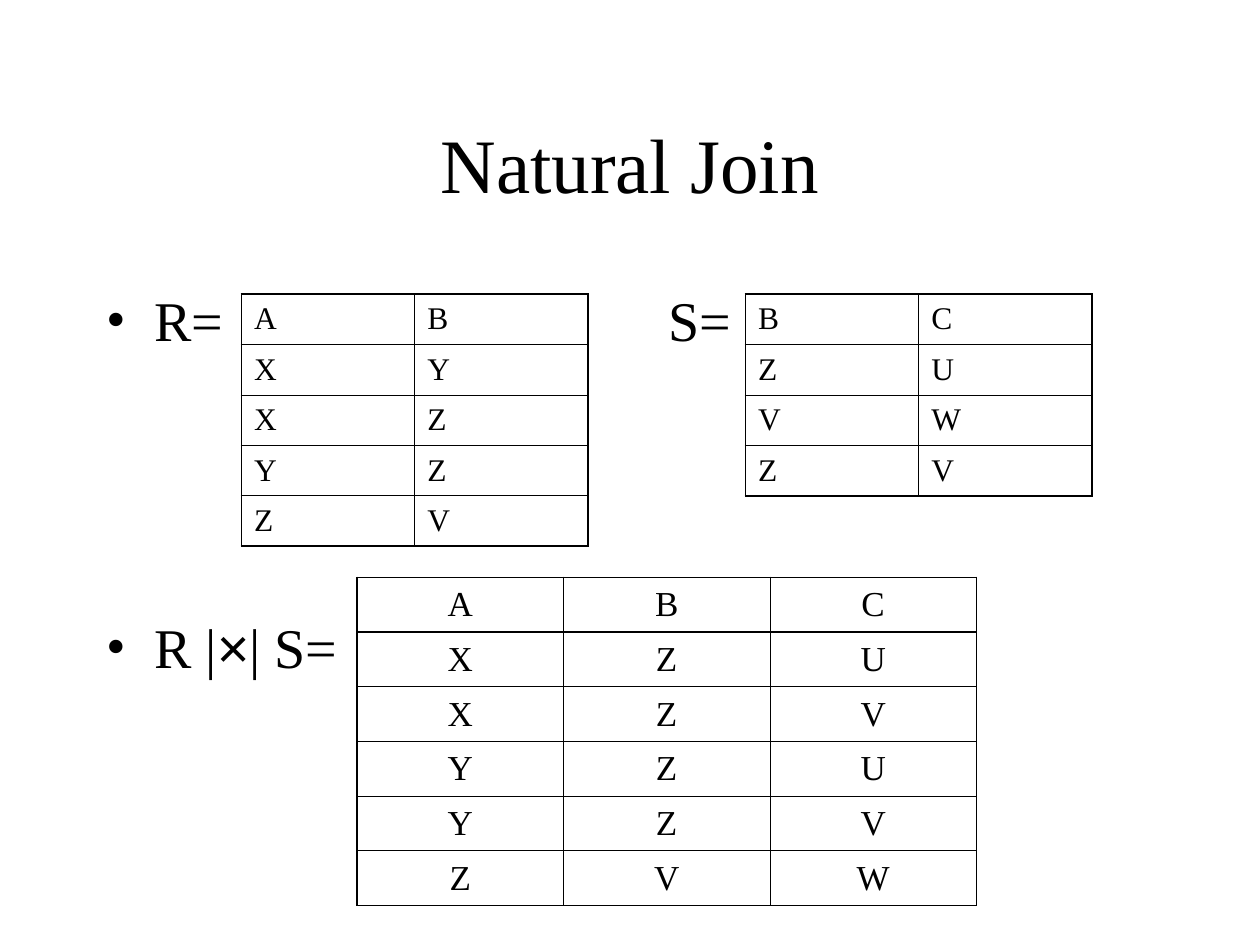
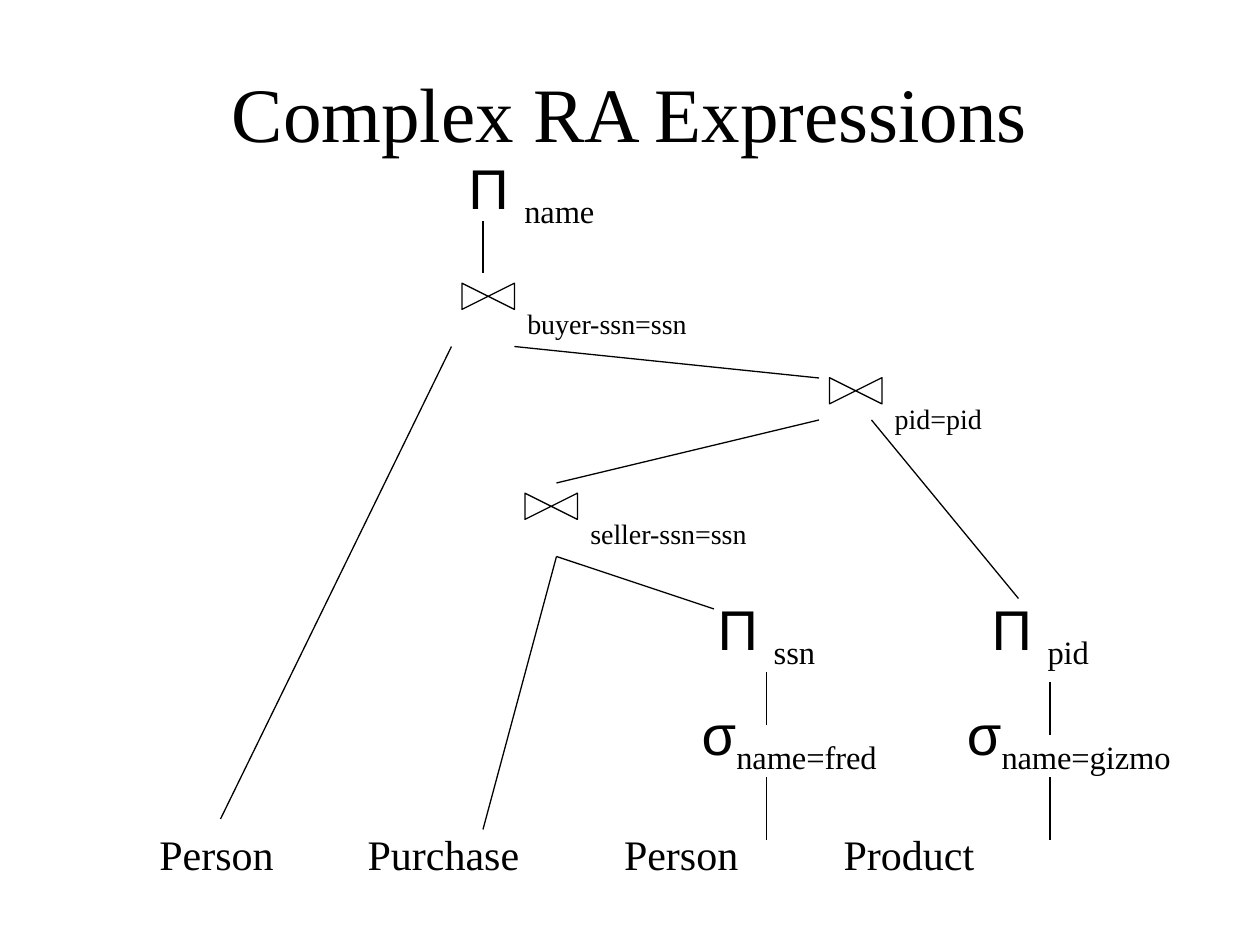
from lxml import etree
from pptx import Presentation
from pptx.dml.color import RGBColor
from pptx.enum import shapes, text
from pptx.oxml import ns
from pptx.util import Pt

rgb = RGBColor.from_string
INK = "000000"
SERIF = "Times New Roman"
SANS = "Arial"
LEFT, CENTER = text.PP_ALIGN.LEFT, text.PP_ALIGN.CENTER
TOP, MIDDLE = text.MSO_ANCHOR.TOP, text.MSO_ANCHOR.MIDDLE


def style_run(run, size, font=SERIF, subscript=False):
    run.font.size = Pt(size)
    run.font.name = font
    run.font.color.rgb = rgb(INK)
    if subscript:
        run._r.get_or_add_rPr().set("baseline", "-25000")


def add_text(slide, box, paragraphs, size, align=LEFT, anchor=TOP, wrap=True):
    frame = slide.shapes.add_textbox(*map(Pt, box)).text_frame
    frame.word_wrap = wrap
    frame.vertical_anchor = anchor
    if not wrap:
        frame.auto_size = text.MSO_AUTO_SIZE.SHAPE_TO_FIT_TEXT
    for index, parts in enumerate(paragraphs):
        paragraph = frame.add_paragraph() if index else frame.paragraphs[0]
        paragraph.alignment = align
        for wording, *look in parts:
            run = paragraph.add_run()
            run.text = wording
            style_run(run, size, *look)
    return frame


prs = Presentation()
prs.slide_width, prs.slide_height = Pt(720), Pt(540)
join_slide, tree_slide = [prs.slides.add_slide(prs.slide_layouts[6]) for _ in range(2)]

for slide, title, top in [
    (join_slide, "Natural Join", 48),
    (tree_slide, "Complex RA Expressions", 19),
]:
    add_text(slide, (54, top, 612, 90), [[(title,)]], 44, CENTER, MIDDLE)

relations = add_text(
    join_slide, (54, 156, 612, 324),
    [[("R=",)], [("R |",), ("×", SANS), ("| S=",)]], 32,
)
relations.margin_top = Pt(7.2)
relations.paragraphs[1].space_before = Pt(148.5)
for paragraph in relations.paragraphs:
    properties = paragraph._p.get_or_add_pPr()
    properties.set("marL", str(Pt(27)))
    properties.set("indent", str(Pt(-27)))
    etree.SubElement(properties, ns.qn("a:buFont"), typeface=SERIF)
    etree.SubElement(properties, ns.qn("a:buChar"), char="•")
add_text(join_slide, (375, 159.6, 52, 44), [[("S=",)]], 32)

for left, top, column_width, row_height, size, align, rows in [
    (138, 168, 99, 28.8, 18, LEFT, ["AB", "XY", "XZ", "YZ", "ZV"]),
    (426, 168, 99, 28.8, 18, LEFT, ["BC", "ZU", "VW", "ZV"]),
    (204, 330, 118, 31.2, 20, CENTER, ["ABC", "XZU", "XZV", "YZU", "YZV", "ZVW"]),
]:
    row_count, column_count = len(rows), len(rows[0])
    relation = join_slide.shapes.add_table(
        row_count, column_count, Pt(left), Pt(top),
        Pt(column_width * column_count), Pt(row_height * row_count),
    ).table
    relation.first_row = relation.horz_banding = False
    for column in relation.columns:
        column.width = Pt(column_width)
    for r, values in enumerate(rows):
        relation.rows[r].height = Pt(row_height)
        for c, value in enumerate(values):
            cell = relation.cell(r, c)
            cell.vertical_anchor = MIDDLE
            paragraph = cell.text_frame.paragraphs[0]
            paragraph.text = value
            paragraph.alignment = align
            style_run(paragraph.runs[0], size)
            heavy_sides = {
                "lnL": c == 0,
                "lnR": c == column_count - 1,
                "lnT": r < 2,
                "lnB": r in (0, row_count - 1),
            }
            for side, heavy in heavy_sides.items():
                border = etree.SubElement(
                    cell._tc.get_or_add_tcPr(), ns.qn(f"a:{side}"),
                    w=str(Pt(1.08 if heavy else 0.45)),
                )
                border_fill = etree.SubElement(border, ns.qn("a:solidFill"))
                etree.SubElement(border_fill, ns.qn("a:srgbClr"), val=INK)
            cell.fill.background()

for left, base_table in [(84, "Person"), (203, "Purchase"), (349.5, "Person"), (475, "Product")]:
    add_text(tree_slide, (left, 469.7, 110, 35), [[(base_table,)]], 24)

for left, top, width, symbol, subscript in [
    (385, 396, 130, " σ", "name=fred"),
    (536.5, 396, 146, " σ", "name=gizmo"),
    (559.5, 336, 71, "Π ", "pid"),
    (403, 336, 71, "Π ", "ssn"),
    (260.5, 84, 87, "Π ", "name"),
]:
    add_text(
        tree_slide, (left, top, width, 51),
        [[(symbol, SANS), (subscript, SERIF, True)]], 32, wrap=False,
    )

for left, top, condition, width in [
    (307.5, 274.3, "seller-ssn=ssn", 104),
    (481.5, 208.3, "pid=pid", 64),
    (271.5, 154.3, "buyer-ssn=ssn", 106),
]:
    bowtie = tree_slide.shapes.add_shape(
        shapes.MSO_SHAPE.FLOWCHART_COLLATE, Pt(left), Pt(top), Pt(15), Pt(30)
    )
    bowtie.rotation = 270
    bowtie.shadow.inherit = False
    bowtie.fill.background()
    bowtie.line.color.rgb = rgb(INK)
    bowtie.line.width = Pt(0.75)
    add_text(
        tree_slide, (left + 22.7, top + 17.6, width, 26.6),
        [[(condition,)]], 16, wrap=False,
    )

for start_x, start_y, end_x, end_y in [
    (438, 480, 438, 444),
    (600, 480, 600, 444),
    (438, 414, 438, 384),
    (600, 420, 600, 390),
    (276, 474, 318, 318),
    (408, 348, 318, 318),
    (318, 276, 468, 240),
    (582, 342, 498, 240),
    (468, 216, 294, 198),
    (126, 468, 258, 198),
    (276, 156, 276, 126),
]:
    branch = tree_slide.shapes.add_connector(
        shapes.MSO_CONNECTOR.STRAIGHT, Pt(start_x), Pt(start_y), Pt(end_x), Pt(end_y)
    )
    branch.line.color.rgb = rgb(INK)
    branch.line.width = Pt(0.75)
    etree.SubElement(branch._element.spPr, ns.qn("a:effectLst"))

prs.save("out.pptx")
